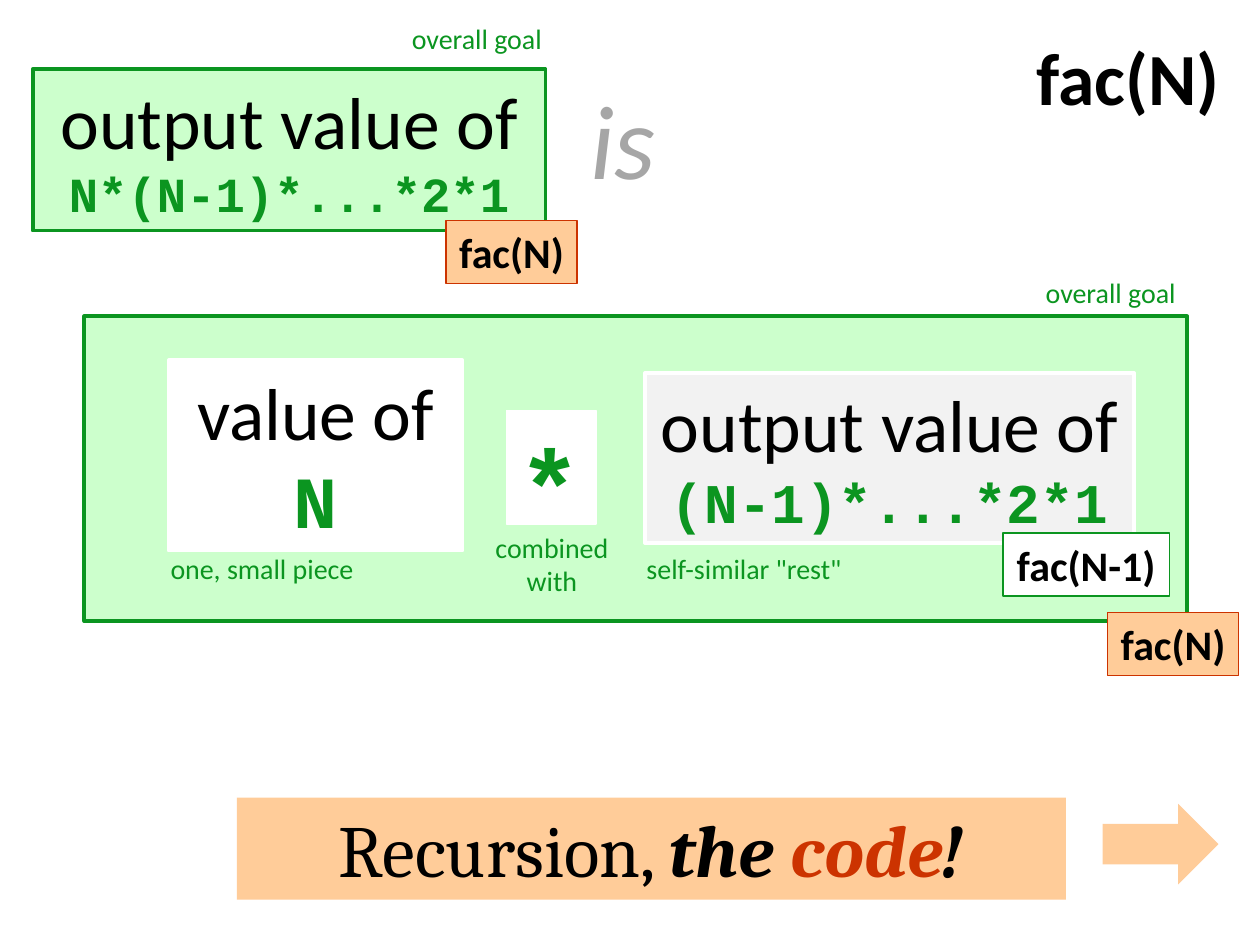
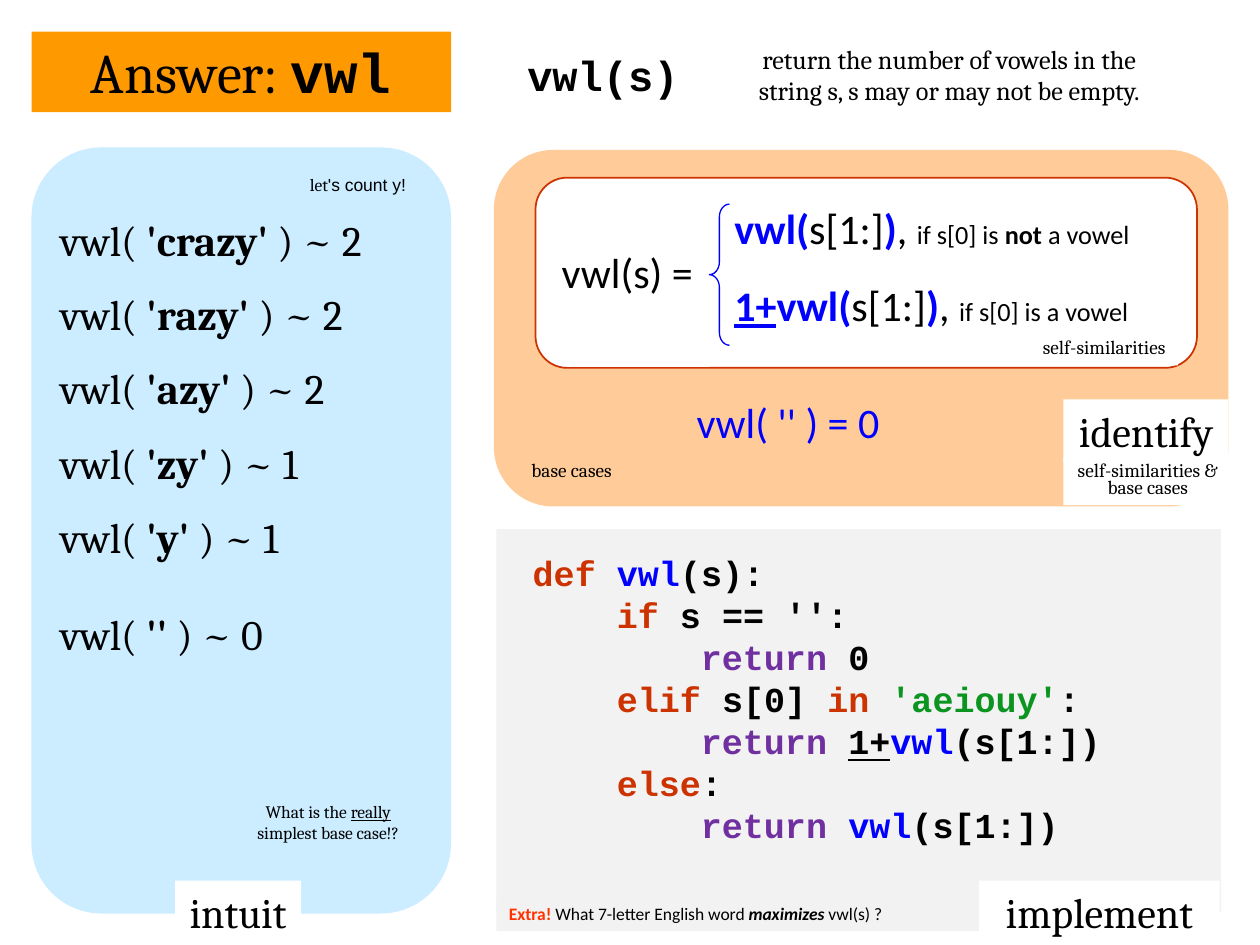
import pptx
import pptx.util
import pptx.dml.color
import pptx.enum.shapes
import pptx.enum.text

RGB = pptx.dml.color.RGBColor
KIND = pptx.enum.shapes.MSO_SHAPE
ALIGN = pptx.enum.text.PP_ALIGN
Pt = pptx.util.Pt
PX = 9144

BLACK = RGB(0x00, 0x00, 0x00)
WHITE = RGB(0xFF, 0xFF, 0xFF)
PALE = RGB(0xF2, 0xF2, 0xF2)
GRAY = RGB(0xA6, 0xA6, 0xA6)
GREEN = RGB(0x0B, 0x95, 0x20)
MINT = RGB(0xCC, 0xFF, 0xCC)
PEACH = RGB(0xFF, 0xCC, 0x99)
AMBER = RGB(0xFF, 0x99, 0x00)
RUST = RGB(0xCC, 0x33, 0x00)
RED = RGB(0xFF, 0x33, 0x00)
SKY = RGB(0xCC, 0xEC, 0xFF)
BLUE = RGB(0x00, 0x00, 0xFF)
PLUM = RGB(0x70, 0x30, 0xA0)

SANS, SERIF, MONO = "Calibri", "Cambria", "Courier New"
LEFT, MID, RIGHT = ALIGN.LEFT, ALIGN.CENTER, ALIGN.RIGHT
BOLD = {"bold": True}
CODE = {"font": MONO, "color": GREEN, "bold": True}


def draw(slide, place, fill=None, line=None, width=0.75, kind=KIND.RECTANGLE):
    shape = slide.shapes.add_shape(kind, *[n * PX for n in place])
    shape.shadow.inherit = False
    if fill is None:
        shape.fill.background()
    else:
        shape.fill.solid()
        shape.fill.fore_color.rgb = fill
    if line is None:
        shape.line.fill.background()
    else:
        shape.line.color.rgb = line
        shape.line.width = Pt(width)
    return shape


def write(target, *lines, place=None, align=LEFT, wrap=True, pitch=None, gap=0, **base):
    if place:
        target = target.shapes.add_textbox(*[n * PX for n in place])
    frame = target.text_frame
    frame.word_wrap = wrap
    frame.auto_size = pptx.enum.text.MSO_AUTO_SIZE.NONE
    frame.vertical_anchor = pptx.enum.text.MSO_ANCHOR.TOP
    for i, line in enumerate(lines):
        para = frame.paragraphs[0] if i == 0 else frame.add_paragraph()
        para.alignment = align
        if pitch:
            para.line_spacing = Pt(pitch)
        if i and gap:
            para.space_before = Pt(gap)
        for part in [line] if isinstance(line, str) else line:
            text, extra = (part, {}) if isinstance(part, str) else part
            look = {"font": SANS, "color": BLACK, **base, **extra}
            run = para.add_run()
            run.text = text
            run.font.name = look["font"]
            run.font.size = Pt(look["size"])
            run.font.color.rgb = look["color"]
            run.font.bold = look.get("bold", False)
            run.font.italic = look.get("italic", False)
            run.font.underline = look.get("under", False)


deck = pptx.Presentation()
deck.slide_width = 1000 * PX
deck.slide_height = 750 * PX
slides = []
for place, fill in [((812, 20, 167, 81), WHITE), ((25, 25, 333, 64), AMBER)]:
    slide = deck.slides.add_slide(deck.slide_layouts[5])
    title = slide.shapes.title
    title.left, title.top, title.width, title.height = [n * PX for n in place]
    title.fill.solid()
    title.fill.fore_color.rgb = fill
    slides.append(slide)
goal, answer = slides

write(goal.shapes.title, "fac(N)", size=42, bold=True, align=MID, wrap=False)
draw(goal, (67, 251, 875, 242), MINT, GREEN, 2.25)
draw(goal, (402, 326, 71, 90), WHITE, WHITE)

for place, fill, edge, words, sum_text, size in [
    ((26, 55, 407, 128), MINT, GREEN, "output value of ", "N*(N-1)*...*2*1", 28),
    ((134, 286, 233, 151), WHITE, WHITE, "value of ", "N", 42),
    ((512, 296, 388, 135), PALE, WHITE, "output value of ", "(N-1)*...*2*1", 32),
]:
    card = draw(goal, place, fill, edge, 2.25)
    write(card, [words, (sum_text, {**CODE, "size": size})], size=42, align=MID)

write(goal, "is", place=(459, 54, 74, 111), size=60, color=GRAY, italic=True, wrap=False)
write(goal, "*", place=(402, 328, 71, 111), size=60, wrap=False, **CODE)
write(goal, "combined with", place=(377, 416, 122, 64), size=16, color=GREEN, align=MID)
for text, place in [
    ("overall goal", (316, 12, 125, 37)),
    ("overall goal", (819, 214, 125, 37)),
    ("one, small piece", (123, 433, 170, 37)),
    ('self-similar "rest"', (499, 433, 183, 37)),
]:
    write(goal, text, place=place, size=16, color=GREEN, align=MID, wrap=False)

for text, place, fill, edge in [
    ("fac(N)", (354, 175, 104, 50), PEACH, RUST),
    ("fac(N-1)", (796, 423, 132, 50), WHITE, GREEN),
    ("fac(N)", (879, 486, 104, 50), PEACH, RUST),
]:
    tag = draw(goal, place, fill, edge)
    write(tag, text, size=24, bold=True, align=MID, wrap=False)

banner = draw(goal, (188, 633, 658, 81), PEACH)
stress = {"bold": True, "italic": True}
write(banner, ["Recursion, ", ("the ", stress), ("code", {**stress, "color": RUST}),
               ("!", stress)], size=42, font=SERIF, align=MID)
draw(goal, (875, 638, 92, 64), PEACH, kind=KIND.RIGHT_ARROW)

write(answer.shapes.title, ["Answer: ", ("vwl", {"font": MONO, "bold": True})],
      size=32, font=SERIF, align=MID)
write(answer, "vwl(s)", place=(357, 34, 243, 50), size=24, font=MONO, bold=True, align=MID)
write(answer, "return the number of vowels in the string s, s may or may not be empty.",
      place=(573, 29, 361, 61), size=15, font=SERIF, align=MID)

draw(answer, (394, 420, 575, 304), PALE)
for place, fill, edge in [
    ((392, 119, 583, 283), PEACH, None),
    ((425, 141, 525, 151), WHITE, RUST),
    ((25, 117, 333, 608), SKY, None),
]:
    draw(answer, place, fill, edge, 1, KIND.ROUNDED_RECTANGLE)

for text, place in [
    ("intuit", (139, 699, 100, 50)),
    ("identify", (844, 317, 131, 50)),
    ("implement", (777, 699, 191, 50)),
]:
    write(draw(answer, place, WHITE), text, size=24, font=SERIF, align=MID, wrap=False)

for text, place, fill, align in [
    ("self-similarities & base cases", (844, 363, 134, 38), WHITE, MID),
    ("base cases", (412, 363, 134, 24), PEACH, LEFT),
    ("self-similarities", (801, 266, 134, 24), WHITE, RIGHT),
]:
    write(draw(answer, place, fill), text, size=11, font=SERIF, align=align, pitch=10)

for i, (word, count) in enumerate(
    [("crazy", 2), ("razy", 2), ("azy", 2), ("zy", 1), ("y", 1), ("", 0)]
):
    top = 165 + 59 * i if word else 478
    write(answer, ["vwl( ", (f"'{word}' ", BOLD), f") ~ {count}"],
          place=(38, top, 317, 50), size=24, font=SERIF)

write(answer, ["let", ("'s count y!", {"font": "Arial"})],
      place=(189, 133, 143, 27), size=10, font=SERIF, align=RIGHT)
write(answer, ["What is the ", ("really", {"under": True}), " simplest base case!?"],
      place=(189, 631, 143, 44), size=10, font=SERIF, align=MID)

write(answer, "vwl(s) =", place=(436, 191, 245, 50), size=24)
write(answer, "vwl( '' ) = 0", place=(503, 310, 245, 50), size=24, color=BLUE, align=MID)
call = {"color": BLUE, "bold": True}
note = {"size": 15}
rest = ["s[1:]", (")", call), ", "]
write(answer,
      [("vwl(", call), *rest, ("if s[0] is ", note), ("not ", {**note, **BOLD}),
       ("a vowel", note)],
      [("1+", {**call, "under": True}), ("vwl(", call), *rest,
       ("if s[0] is a vowel", note)],
      place=(573, 156, 360, 111), size=24, gap=15)
brace = draw(answer, (563, 162, 16, 112), line=BLUE, kind=KIND.LEFT_BRACE)
brace.adjustments[0] = 0.63

test, back, name = {"color": RUST}, {"color": PLUM}, {"color": BLUE}
write(answer,
      [("def ", test), ("vwl", name), "(s):"],
      [("    if", test), " s == '':"],
      [("        return", back), " 0"],
      [("    elif ", test), "s[0] ", ("in ", test), ("'aeiouy'", {"color": GREEN}), ":"],
      [("        return ", back), ("1+", {"under": True}), ("vwl", name), "(s[1:])"],
      [("    else", test), ":"],
      [("        return ", back), ("vwl", name), "(s[1:])"],
      place=(413, 433, 523, 246), size=20, font=MONO, bold=True, pitch=24)

extra = draw(answer, (394, 712, 383, 27), PALE)
write(extra, [("Extra!", {"color": RED, "bold": True}), " What 7-letter English word ",
              ("maximizes ", stress), "vwl(s) ?"], size=10)

deck.save("out.pptx")
